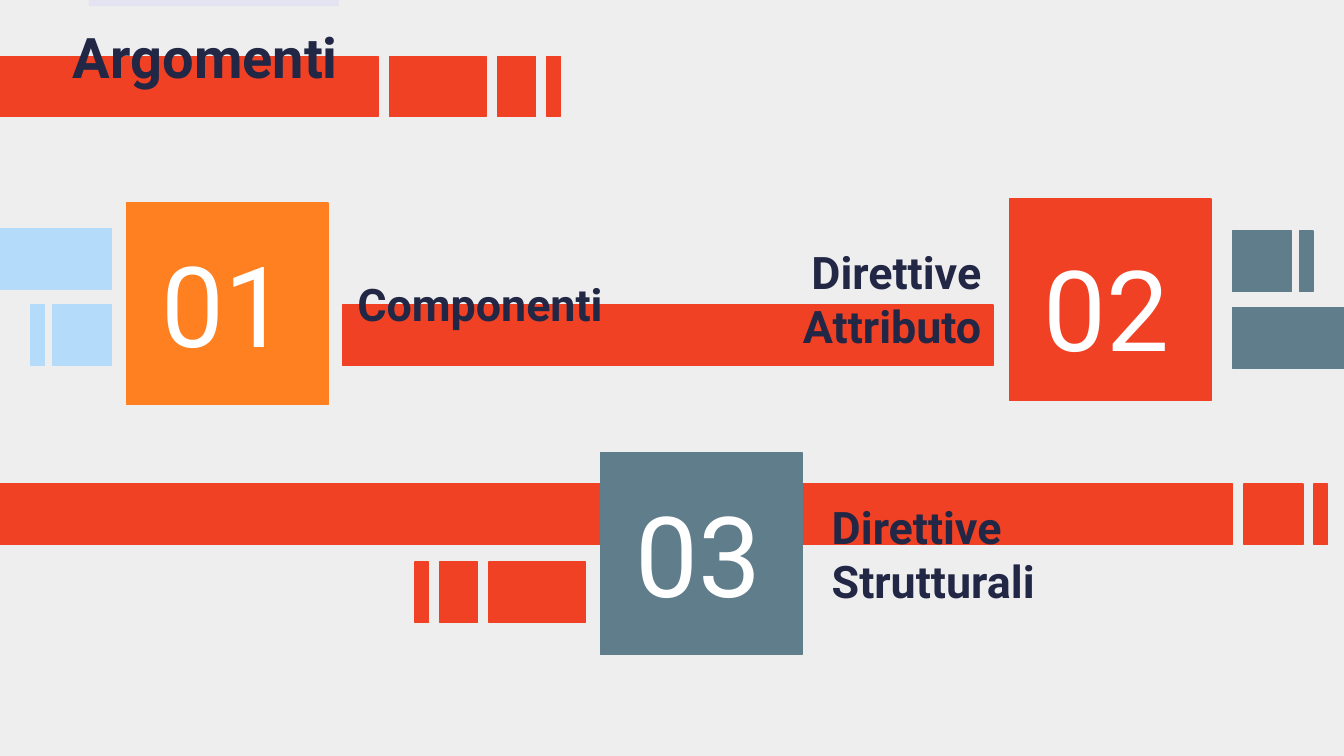
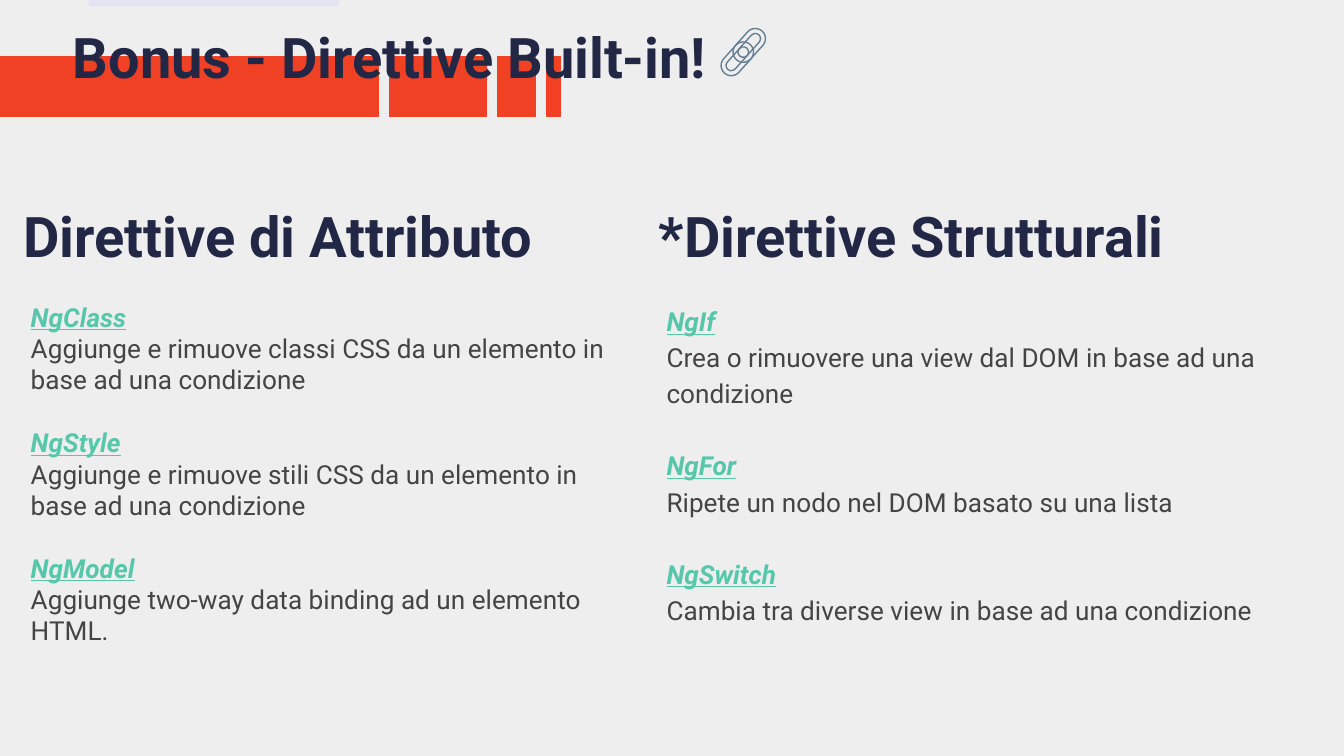
from dataclasses import dataclass

from lxml.etree import SubElement
from pptx import Presentation
from pptx.dml.color import RGBColor
from pptx.enum.shapes import MSO_SHAPE
from pptx.enum.text import MSO_ANCHOR, PP_ALIGN
from pptx.oxml.ns import qn
from pptx.util import Pt


@dataclass(frozen=True)
class Theme:
    font: str = "Roboto"
    paper: str = "EEEEEE"
    lilac: str = "E3E3F1"
    red: str = "F14124"
    orange: str = "FF8021"
    slate: str = "607D8B"
    sky: str = "B4DCFA"
    navy: str = "212745"
    white: str = "FFFFFF"
    mint: str = "56C7AA"
    grey: str = "444444"
    icon: str = "657E93"
    number_size: float = 60
    title_size: float = 30
    label_size: float = 24
    body_size: float = 14
    line_width: float = 0.75
    band_height: float = 32.4
    tile_side: float = 108


THEME = Theme()
TITLE_STYLE = {"size": THEME.title_size, "color": THEME.navy, "bold": True}
LABEL_STYLE = {"size": THEME.label_size, "color": THEME.navy, "bold": True}
NUMBER_STYLE = {"size": THEME.number_size, "color": THEME.white}
TERM_STYLE = {"size": THEME.body_size, "color": THEME.mint,
              "bold": True, "italic": True, "underline": True}
BODY_STYLE = {"size": THEME.body_size, "color": THEME.grey}

TITLE_INSETS = (3, 2)
TEXT_INSETS = (7.2, 7.2)

ATTRIBUTE_DIRECTIVES = [
    ("NgClass", "Aggiunge e rimuove classi CSS da un elemento in base ad una condizione"),
    ("NgStyle", "Aggiunge e rimuove stili CSS da un elemento in base ad una condizione"),
    ("NgModel", "Aggiunge two-way data binding ad un elemento HTML."),
]
STRUCTURAL_DIRECTIVES = [
    ("NgIf", "Crea o rimuovere una view dal DOM in base ad una condizione"),
    ("NgFor", "Ripete un nodo nel DOM basato su una lista"),
    ("NgSwitch", "Cambia tra diverse view in base ad una condizione"),
]


def rgb(color):
    return RGBColor.from_string(color)


def add_rectangle(page, left, top, width, height, color, outlined=True):
    box = page.shapes.add_shape(
        MSO_SHAPE.RECTANGLE, Pt(left), Pt(top), Pt(width), Pt(height))
    box.shadow.inherit = False
    box.fill.solid()
    box.fill.fore_color.rgb = rgb(color)
    if outlined:
        box.line.color.rgb = rgb(color)
        box.line.width = Pt(THEME.line_width)
    else:
        box.line.fill.background()


def add_band(page, left, top, widths, color, gap=6):
    """Lay a row of blocks from left to right with equal gaps."""
    for width in widths:
        add_rectangle(page, left, top, width, THEME.band_height, color)
        left += width + gap


def write(para, text, size, color, **flags):
    span = para.add_run()
    span.text = text
    span.font.name = THEME.font
    span.font.size = Pt(size)
    span.font.color.rgb = rgb(color)
    for name, value in flags.items():
        setattr(span.font, name, value)


def prepare_frame(box, insets):
    across, down = insets
    settings = {"word_wrap": True, "vertical_anchor": MSO_ANCHOR.TOP,
                "margin_left": Pt(across), "margin_right": Pt(across),
                "margin_top": Pt(down), "margin_bottom": Pt(down)}
    for name, value in settings.items():
        setattr(box.text_frame, name, value)
    return box.text_frame


def add_text_box(page, left, top, width, height, insets=TEXT_INSETS):
    box = page.shapes.add_textbox(Pt(left), Pt(top), Pt(width), Pt(height))
    return prepare_frame(box, insets)


def add_label(page, text, left, top, width, height, style=LABEL_STYLE,
              align=PP_ALIGN.LEFT, insets=TEXT_INSETS):
    para = add_text_box(page, left, top, width, height, insets).paragraphs[0]
    para.alignment = align
    write(para, text, **style)


def add_title(page, text, width):
    title = page.shapes.title
    place = {"left": 36, "top": 10.1, "width": width, "height": 35.3}
    for name, value in place.items():
        setattr(title, name, Pt(value))
    para = prepare_frame(title, TITLE_INSETS).paragraphs[0]
    para.alignment = PP_ALIGN.LEFT
    write(para, text, **TITLE_STYLE)
    # Bring the title in front of the red band.
    title.element.getparent().append(title.element)


def add_page(deck, title, title_width):
    page = deck.slides.add_slide(deck.slide_layouts.get_by_name("Title Only"))
    add_rectangle(page, 47.5, 0, 133.9, 3.4, THEME.lilac, outlined=False)
    add_band(page, 0, 30.2, [202.6, 51.8, 20.6, 7.2], THEME.red)
    add_title(page, title, title_width)
    return page


def add_number_tile(page, number, left, top, color, drop=10.1):
    side = THEME.tile_side
    add_rectangle(page, left, top, side, side, color)
    add_label(page, number, left + 11.5, top + drop, 85, 87.1, NUMBER_STYLE)


def add_directives(page, directives, left, top, width, height, gap, spacing=1.0):
    """List each term above its description, with a gap between pairs."""
    frame = add_text_box(page, left, top, width, height)
    for index, (term, description) in enumerate(directives):
        heading = frame.add_paragraph() if index else frame.paragraphs[0]
        heading.space_before = Pt(gap if index else 0)
        write(heading, term, **TERM_STYLE)
        body = frame.add_paragraph()
        write(body, description, **BODY_STYLE)
        for para in (heading, body):
            para.line_spacing = spacing


def add_link_icon(page, center_x, center_y):
    """Draw two chain links as nested, tilted capsules."""
    icon = page.shapes.add_group_shape()
    reach = 9.7
    for side in (-1, 1):
        for thickness in (10.9, 5.6):
            width = reach + thickness
            link = icon.shapes.add_shape(
                MSO_SHAPE.ROUNDED_RECTANGLE,
                Pt(center_x + side * 3.2 - width / 2),
                Pt(center_y - side * 3.6 - thickness / 2),
                Pt(width), Pt(thickness))
            link.adjustments[0] = 0.5
            link.rotation = -48
            link.shadow.inherit = False
            link.fill.background()
            link.line.color.rgb = rgb(THEME.icon)
            link.line.width = Pt(THEME.line_width)


def build_topics(deck):
    page = add_page(deck, "Argomenti", 410.4)
    add_band(page, 0, 259.2, [660.4, 31.6, 7.2], THEME.red)
    add_band(page, 222.4, 301, [7.2, 20.4, 51.8], THEME.red)
    add_band(page, 183.6, 163.4, [348.5], THEME.red)

    add_band(page, 0, 122.4, [59.8], THEME.sky)
    add_band(page, 16.6, 163.4, [7.2, 31.7], THEME.sky, gap=4.3)
    add_band(page, 660.2, 123.8, [31.7, 7.2], THEME.slate, gap=4.3)
    add_band(page, 660.2, 164.9, [59.8], THEME.slate)

    add_number_tile(page, "01", 67.7, 108.7, THEME.orange)
    add_number_tile(page, "02", 540.7, 106.6, THEME.red, drop=14.4)
    add_number_tile(page, "03", 321.8, 242.6, THEME.slate)

    add_label(page, "Componenti", 184.3, 141.1, 178.6, 43.9)
    add_label(page, "Direttive Attributo", 350.6, 123.8, 182.2, 72.7,
              align=PP_ALIGN.RIGHT)
    add_label(page, "Direttive Strutturali", 438.5, 260.6, 178.6, 72.7)


def build_directives(deck):
    page = add_page(deck, "Bonus - Direttive Built-in!", 350)
    add_directives(page, ATTRIBUTE_DIRECTIVES, 9.4, 154.1, 340.6, 200.9, gap=16.8)
    add_directives(page, STRUCTURAL_DIRECTIVES, 350, 154.1, 361.4, 187.9,
                   gap=19.3, spacing=1.15)
    for text, left, width in (("*Direttive Strutturali", 350, 361.4),
                              ("Direttive di Attributo", 9.4, 288.7)):
        add_label(page, text, left, 105.8, width, 35.3, TITLE_STYLE,
                  insets=TITLE_INSETS)
    add_link_icon(page, 398.2, 27.9)


def main():
    deck = Presentation()
    deck.slide_width, deck.slide_height = Pt(720), Pt(405)
    paper = deck.slide_master.background.fill
    paper.solid()
    paper.fore_color.rgb = rgb(THEME.paper)
    build_topics(deck)
    build_directives(deck)
    deck.save("out.pptx")


if __name__ == "__main__":
    main()
